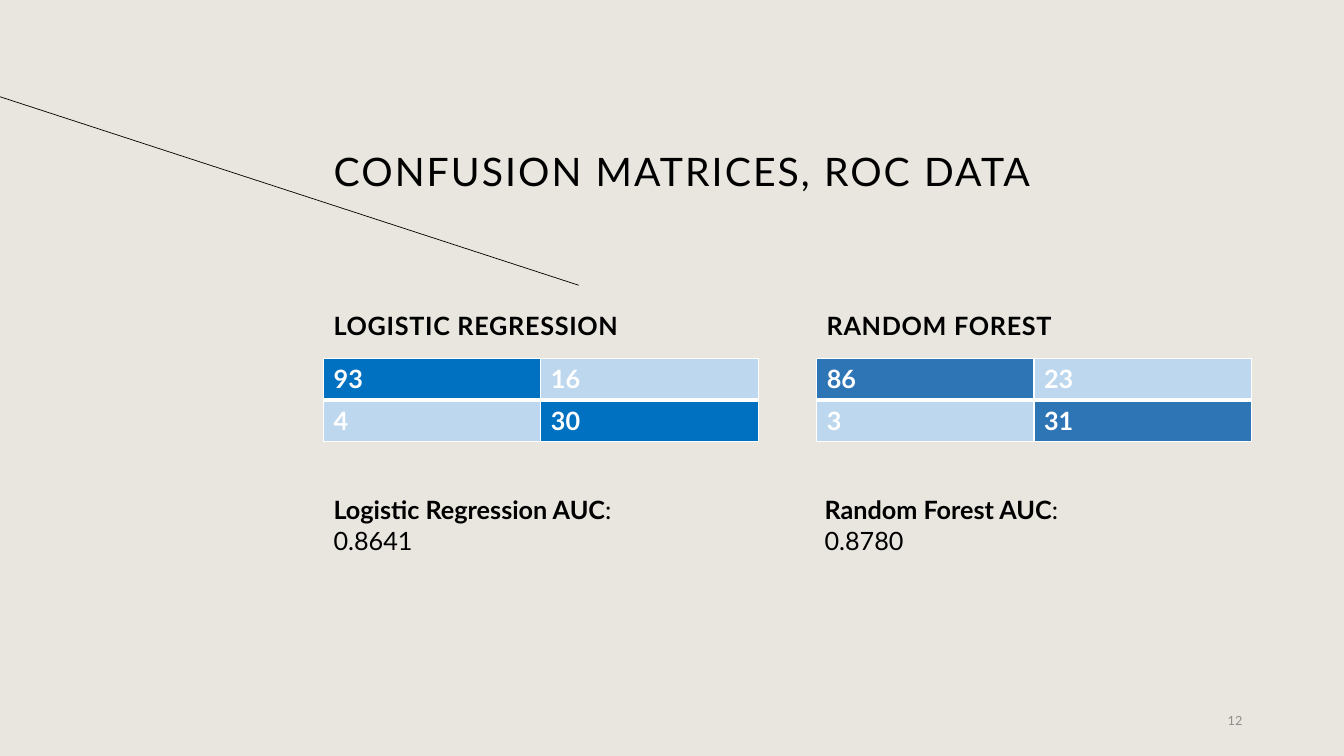
from dataclasses import dataclass

from lxml import etree
from pptx import Presentation
from pptx.dml.color import RGBColor
from pptx.enum.shapes import MSO_CONNECTOR
from pptx.enum.text import MSO_ANCHOR, MSO_AUTO_SIZE, PP_ALIGN
from pptx.oxml.ns import qn
from pptx.shapes.base import BaseShape
from pptx.slide import Slide
from pptx.table import _Cell
from pptx.text.text import TextFrame, _Paragraph
from pptx.util import Inches, Pt

STRAIGHT = MSO_CONNECTOR.STRAIGHT
TOP, MIDDLE, BOTTOM = MSO_ANCHOR.TOP, MSO_ANCHOR.MIDDLE, MSO_ANCHOR.BOTTOM
RIGHT = PP_ALIGN.RIGHT
NO_AUTOFIT = MSO_AUTO_SIZE.NONE
TITLE_ONLY = 5


@dataclass(frozen=True)
class Theme:
    font: str = "Lato"
    background: str = "E9E6DF"
    ink: str = "000000"
    muted: str = "8C8C8C"
    white: str = "FFFFFF"
    miss: str = "BDD7EE"
    title_size: float = 28
    body_size: float = 18
    number_size: float = 9
    line_spacing: float = 0.9
    thin_border: float = 1
    thick_border: float = 3


@dataclass(frozen=True)
class Model:
    heading: str
    name: str
    auc: str
    counts: tuple[tuple[int, int], tuple[int, int]]
    hit_color: str
    left: float
    auc_left: float
    auc_width: float


THEME = Theme()
HEADING_TOP, HEADING_HEIGHT = 3.06, 0.51
TABLE_TOP, TABLE_WIDTH, ROW_HEIGHT = 3.56, 4.31, 0.41
AUC_TOP, AUC_HEIGHT = 4.86, 0.4

MODELS = (
    Model("LOGISTIC REGRESSION", "Logistic Regression", "0.8641",
          ((93, 16), (4, 30)), "0070C0", 3.21, 3.21, 3.7),
    Model("RANDOM FOREST", "Random Forest", "0.8780",
          ((86, 23), (3, 31)), "2E75B6", 8.1, 8.08, 3.24),
)


def color(value: str) -> RGBColor:
    return RGBColor.from_string(value)


def add_run(paragraph: _Paragraph, text: str, size: float, ink: str = THEME.ink,
            bold: bool = False, tracking: float = 0) -> None:
    run = paragraph.add_run()
    run.text = text
    run.font.name = THEME.font
    run.font.size = Pt(size)
    run.font.bold = bold
    run.font.color.rgb = color(ink)
    if tracking:
        run._r.get_or_add_rPr().set("spc", str(round(tracking * 100)))


def place(shape: BaseShape, left: float, top: float, width: float, height: float) -> None:
    shape.left, shape.top = Inches(left), Inches(top)
    shape.width, shape.height = Inches(width), Inches(height)


def prepare_frame(frame: TextFrame, anchor: MSO_ANCHOR) -> _Paragraph:
    frame.word_wrap = True
    frame.auto_size = NO_AUTOFIT
    frame.vertical_anchor = anchor
    return frame.paragraphs[0]


def add_text_box(slide: Slide, left: float, top: float, width: float, height: float,
                 anchor: MSO_ANCHOR = TOP) -> _Paragraph:
    box = slide.shapes.add_textbox(Inches(left), Inches(top), Inches(width), Inches(height))
    return prepare_frame(box.text_frame, anchor)


def set_borders(cell: _Cell, row: int) -> None:
    """Draw white borders, with a thick rule between the two rows."""
    properties = cell._tc.get_or_add_tcPr()
    inner_side = "B" if row == 0 else "T"
    for side in "LRTB":
        width = THEME.thick_border if side == inner_side else THEME.thin_border
        line = etree.SubElement(properties, qn(f"a:ln{side}"), w=str(Pt(width)))
        fill = etree.SubElement(line, qn("a:solidFill"))
        etree.SubElement(fill, qn("a:srgbClr"), val=THEME.white)


def add_title(slide: Slide) -> None:
    title = slide.shapes.title
    place(title, 3.21, 0.62, 9.21, 1.36)
    paragraph = prepare_frame(title.text_frame, BOTTOM)
    paragraph.alignment = PP_ALIGN.LEFT
    paragraph.line_spacing = THEME.line_spacing
    add_run(paragraph, "CONFUSION MATRICES, ROC DATA", THEME.title_size, tracking=1.5)


def add_diagonal(slide: Slide) -> None:
    diagonal = slide.shapes.add_connector(
        STRAIGHT, Inches(5.74), Inches(2.83), Inches(0), Inches(0.96))
    diagonal.line.color.rgb = color(THEME.ink)
    diagonal.line.width = Pt(0.5)
    etree.SubElement(diagonal._element.spPr, qn("a:effectLst"))


def add_heading(slide: Slide, model: Model) -> None:
    paragraph = add_text_box(slide, model.left, HEADING_TOP, TABLE_WIDTH, HEADING_HEIGHT)
    paragraph.line_spacing = THEME.line_spacing
    add_run(paragraph, model.heading, THEME.body_size, bold=True, tracking=0.5)


def add_matrix(slide: Slide, model: Model) -> None:
    size = len(model.counts)
    frame = slide.shapes.add_table(
        size, size, Inches(model.left), Inches(TABLE_TOP),
        Inches(TABLE_WIDTH), Inches(ROW_HEIGHT * size))
    table = frame.table
    table.first_row = False
    table.horz_banding = False
    for row, counts in enumerate(model.counts):
        for column, count in enumerate(counts):
            cell = table.cell(row, column)
            set_borders(cell, row)
            cell.fill.solid()
            cell.fill.fore_color.rgb = color(model.hit_color if row == column else THEME.miss)
            add_run(cell.text_frame.paragraphs[0], str(count), THEME.body_size,
                    THEME.white, bold=True)


def add_auc(slide: Slide, model: Model) -> None:
    paragraph = add_text_box(slide, model.auc_left, AUC_TOP, model.auc_width, AUC_HEIGHT)
    add_run(paragraph, f"{model.name} AUC", THEME.body_size, bold=True)
    add_run(paragraph, f": {model.auc}", THEME.body_size)


def add_slide_number(slide: Slide) -> None:
    paragraph = add_text_box(slide, 11.34, 6.95, 1.08, 0.4, MIDDLE)
    paragraph.alignment = RIGHT
    add_run(paragraph, "12", THEME.number_size, THEME.muted)


def main() -> None:
    presentation = Presentation()
    presentation.slide_width = Inches(13.33)
    presentation.slide_height = Inches(7.5)
    slide = presentation.slides.add_slide(presentation.slide_layouts[TITLE_ONLY])
    slide.background.fill.solid()
    slide.background.fill.fore_color.rgb = color(THEME.background)

    # Title and decoration
    add_title(slide)
    add_diagonal(slide)

    # One column for each model
    for model in MODELS:
        add_heading(slide, model)
        add_matrix(slide, model)
        add_auc(slide, model)

    # Footer
    add_slide_number(slide)
    presentation.save("out.pptx")


if __name__ == "__main__":
    main()
